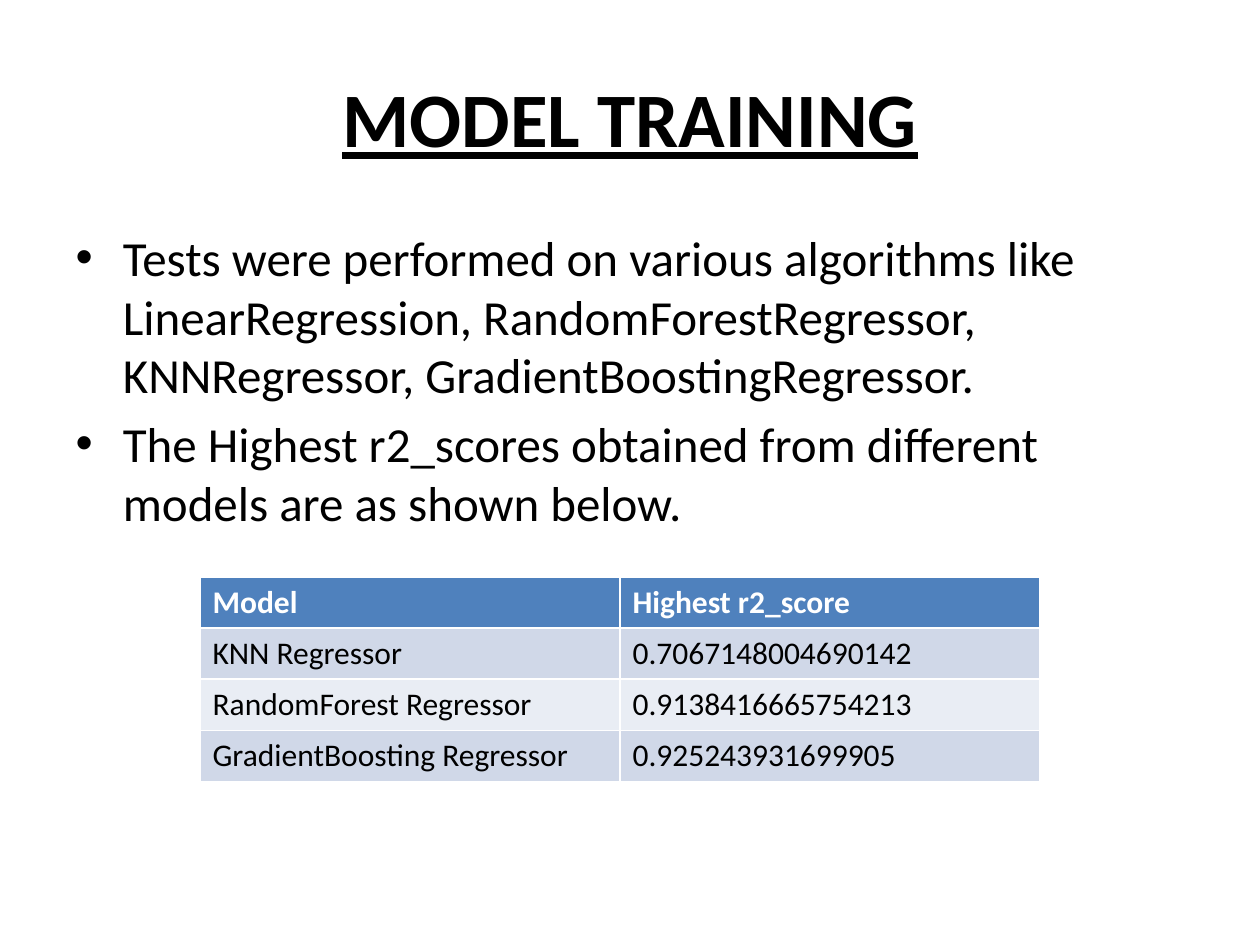
from dataclasses import dataclass

from pptx import Presentation
from pptx.dml.color import RGBColor as RGB
from pptx.enum.text import MSO_ANCHOR as Anchor, MSO_AUTO_SIZE as AutoSize, PP_ALIGN as Align
from pptx.util import Emu, Pt

TITLE = "MODEL TRAINING"
FINDINGS = [
    "Tests were performed on various algorithms like LinearRegression, "
    "RandomForestRegressor, KNNRegressor, GradientBoostingRegressor.",
    "The Highest r2_scores obtained from different models are as shown below.",
]
SCORES = [
    ("Model", "Highest r2_score"),
    ("KNN Regressor", "0.7067148004690142"),
    ("RandomForest Regressor", "0.9138416665754213"),
    ("GradientBoosting Regressor", "0.925243931699905"),
]

SLIDE_SIZE = (1260, 945)
TITLE_BOX = (63, 38, 1134, 158)
FINDINGS_BOX = (63, 221, 1134, 624)
SCORES_CORNER = (200, 577)
COLUMN_WIDTH, ROW_HEIGHT = 420, 51


@dataclass(frozen=True)
class Theme:
    font: str = "Calibri"
    ink: RGB = RGB(0x00, 0x00, 0x00)
    header_ink: RGB = RGB(0xFF, 0xFF, 0xFF)
    header_fill: RGB = RGB(0x4F, 0x81, 0xBD)
    bands: tuple = (RGB(0xD0, 0xD8, 0xE8), RGB(0xE9, 0xED, 0xF4))
    title_size: int = 44
    body_size: int = 28
    score_size: int = 18


THEME = Theme()


def px(length):
    return Emu(round(length * 914400 / 126))


def place(placeholder, box):
    placeholder.left, placeholder.top, placeholder.width, placeholder.height = map(px, box)


def style(paragraph, size, color, bold=False):
    font = paragraph.font
    font.name, font.size, font.bold = THEME.font, Pt(size), bold
    font.color.rgb = color


def add_title(slide):
    title = slide.shapes.title
    place(title, TITLE_BOX)
    title.text_frame.text = TITLE
    title.text_frame.vertical_anchor = Anchor.MIDDLE
    heading = title.text_frame.paragraphs[0]
    heading.alignment = Align.CENTER
    style(heading, THEME.title_size, THEME.ink, bold=True)
    heading.font.underline = True


def add_findings(slide):
    body = slide.placeholders[1]
    place(body, FINDINGS_BOX)
    body.text_frame.text = "\n".join(FINDINGS)
    body.text_frame.auto_size = AutoSize.NONE
    for finding in body.text_frame.paragraphs:
        style(finding, THEME.body_size, THEME.ink)


def add_scores(slide):
    row_count, column_count = len(SCORES), len(SCORES[0])
    size = (column_count * COLUMN_WIDTH, row_count * ROW_HEIGHT)
    scores = slide.shapes.add_table(
        row_count, column_count, *map(px, SCORES_CORNER + size)
    ).table
    for row, entries in enumerate(SCORES):
        is_header = row == 0
        fill = THEME.header_fill if is_header else THEME.bands[(row - 1) % 2]
        ink = THEME.header_ink if is_header else THEME.ink
        for column, entry in enumerate(entries):
            cell = scores.cell(row, column)
            cell.text = entry
            cell.fill.solid()
            cell.fill.fore_color.rgb = fill
            style(cell.text_frame.paragraphs[0], THEME.score_size, ink, bold=is_header)


def main():
    deck = Presentation()
    deck.slide_width, deck.slide_height = map(px, SLIDE_SIZE)
    slide = deck.slides.add_slide(deck.slide_layouts[1])
    add_title(slide)
    add_findings(slide)
    add_scores(slide)
    deck.save("out.pptx")


if __name__ == "__main__":
    main()
